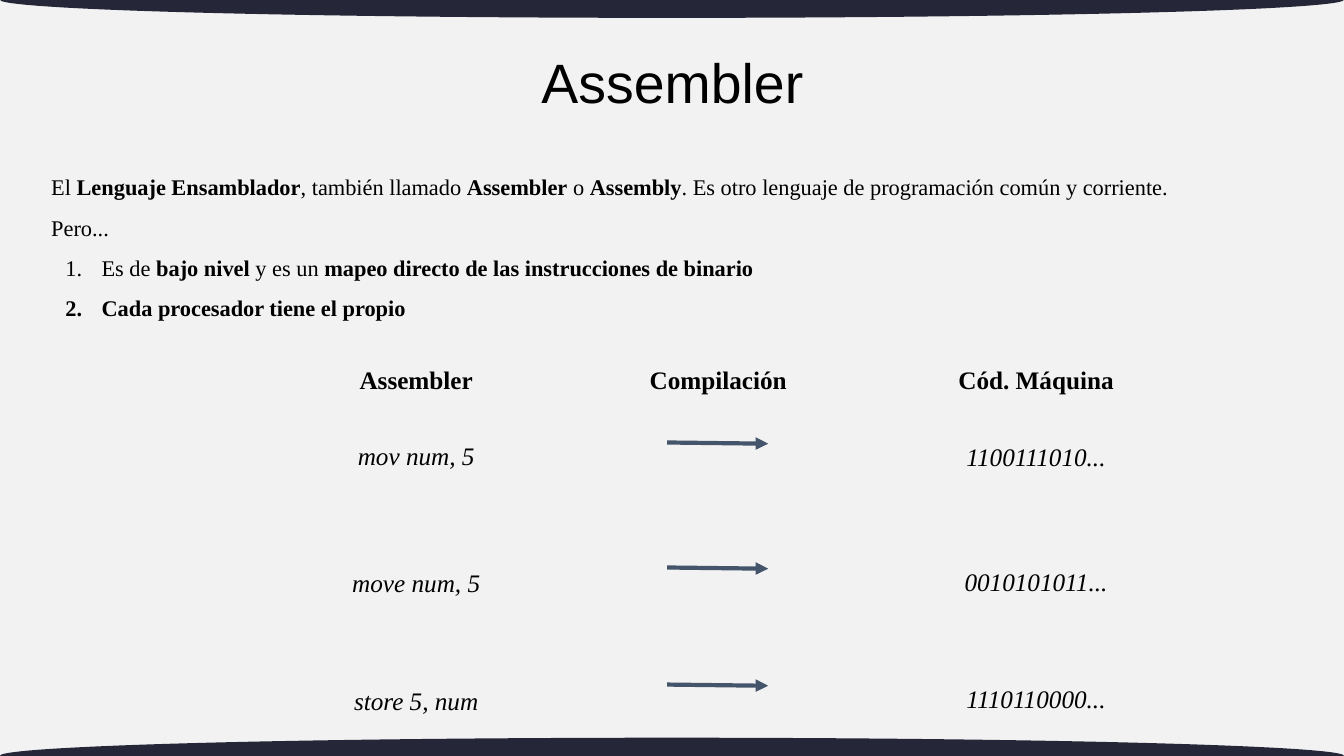
from dataclasses import dataclass
from lxml.etree import SubElement
from pptx import Presentation
from pptx.dml.color import RGBColor
from pptx.enum.shapes import MSO_CONNECTOR, MSO_SHAPE
from pptx.enum.text import MSO_ANCHOR, MSO_AUTO_SIZE, PP_ALIGN
from pptx.oxml.ns import qn
from pptx.util import Cm, Pt


@dataclass(frozen=True)
class Theme:
    back: str = "F2F2F2"
    band: str = "252738"
    ink: str = "000000"
    line: str = "44546A"
    head: str = "Arial"
    text: str = "Times New Roman"
    title: float = 39.6
    body: float = 16
    label: float = 18
    stroke: float = 3


class Page:
    def __init__(self, deck, theme):
        self.theme = theme
        self.slide = deck.slides.add_slide(deck.slide_layouts[1])
        fill = self.slide.background.fill
        fill.solid()
        fill.fore_color.rgb = RGBColor.from_string(theme.back)

    def place(self, shape, left, top, width, height):
        shape.left, shape.top = Cm(left), Cm(top)
        shape.width, shape.height = Cm(width), Cm(height)

    def frame(self, shape, pad, anchor=MSO_ANCHOR.TOP):
        frame = shape.text_frame
        frame.word_wrap = True
        frame.auto_size = MSO_AUTO_SIZE.NONE
        frame.vertical_anchor = anchor
        frame.margin_left = frame.margin_right = Cm(0.25)
        frame.margin_top = frame.margin_bottom = Cm(pad)
        return frame

    def style(self, run, size, face=None, bold=False, italic=False):
        font = run.font
        font.name = face or self.theme.text
        font.size = Pt(size)
        font.bold, font.italic = bold, italic
        font.color.rgb = RGBColor.from_string(self.theme.ink)

    def band(self, top):
        oval = self.slide.shapes.add_shape(
            MSO_SHAPE.OVAL, 0, Cm(top), Cm(33.87), Cm(0.91))
        oval.shadow.inherit = False
        oval.fill.solid()
        oval.fill.fore_color.rgb = RGBColor.from_string(self.theme.band)
        oval.line.fill.background()

    def title(self, text, *box):
        shape = self.slide.shapes.title
        self.place(shape, *box)
        frame = self.frame(shape, 0.13, MSO_ANCHOR.MIDDLE)
        frame.text = text
        para = frame.paragraphs[0]
        para.alignment = PP_ALIGN.CENTER
        para.line_spacing = 0.9
        self.style(para.runs[0], self.theme.title, self.theme.head)

    def body(self, items, *box):
        shape = self.slide.placeholders[1]
        self.place(shape, *box)
        frame = self.frame(shape, 0.25)
        for spot, (listed, parts) in enumerate(items):
            para = frame.add_paragraph() if spot else frame.paragraphs[0]
            para.alignment = PP_ALIGN.LEFT
            para.line_spacing = 1.5
            para.space_before = para.space_after = Pt(0)
            self.bullet(para, listed)
            for text, bold in parts:
                run = para.add_run()
                run.text = text
                self.style(run, self.theme.body, bold=bold)

    def bullet(self, para, listed):
        props = para._p.get_or_add_pPr()
        props.set("marL", str(Cm(1.27) if listed else 0))
        props.set("indent", str(Cm(-0.91) if listed else 0))
        if listed:
            tint = SubElement(props, qn("a:buClr"))
            SubElement(tint, qn("a:srgbClr"), val=self.theme.ink)
            SubElement(props, qn("a:buFont"), typeface=self.theme.text)
            SubElement(props, qn("a:buAutoNum"), type="arabicPeriod")
        else:
            SubElement(props, qn("a:buNone"))

    def label(self, text, mid, top, bold=False):
        width = 5.6
        box = self.slide.shapes.add_textbox(
            Cm(mid - width / 2), Cm(top), Cm(width), Cm(0.9))
        frame = self.frame(box, 0.25)
        frame.text = text
        para = frame.paragraphs[0]
        para.alignment = PP_ALIGN.CENTER
        para.line_spacing = 1.5
        self.style(para.runs[0], self.theme.label, bold=bold, italic=not bold)

    def arrow(self, mid, top):
        line = self.slide.shapes.add_connector(
            MSO_CONNECTOR.STRAIGHT, Cm(mid - 1.29), Cm(top),
            Cm(mid + 1.26), Cm(top + 0.03))
        line.line.width = Pt(self.theme.stroke)
        line.line.color.rgb = RGBColor.from_string(self.theme.line)
        SubElement(line.line._get_or_add_ln(), qn("a:tailEnd"), type="triangle")
        SubElement(line._element.spPr, qn("a:effectLst"))


def main():
    deck = Presentation()
    deck.slide_width, deck.slide_height = Cm(33.87), Cm(19.05)
    page = Page(deck, Theme())
    for top in (-0.46, 18.59):
        page.band(top)
    page.title("Assembler", 8.92, 0.97, 16.05, 2.39)
    page.body([
        (False, [("El ", False), ("Lenguaje Ensamblador", True),
                 (", también llamado ", False), ("Assembler", True),
                 (" o ", False), ("Assembly", True),
                 (". Es otro lenguaje de programación común y corriente. Pero...",
                  False)]),
        (True, [("Es de ", False), ("bajo nivel", True), (" y es un ", False),
                ("mapeo directo de las instrucciones de binario", True)]),
        (True, [("Cada procesador tiene el propio", True)]),
    ], 1.04, 3.78, 30.05, 4.34)

    mids = (10.49, 18.1, 26.11)
    for mid, head in zip(mids, ("Assembler", "Compilación", "Cód. Máquina")):
        page.label(head, mid, 8.56, bold=True)
    rows = [
        ("mov num, 5", 10.46, "1100111010...", 10.49),
        ("move num, 5", 13.67, "0010101011...", 13.64),
        ("store 5, num", 16.64, "1110110000...", 16.59),
    ]
    for code, high, bits, top in rows:
        page.label(code, mids[0], high)
        page.arrow(mids[1], top + 0.66)
        page.label(bits, mids[2], top)
    deck.save("out.pptx")


if __name__ == "__main__":
    main()
